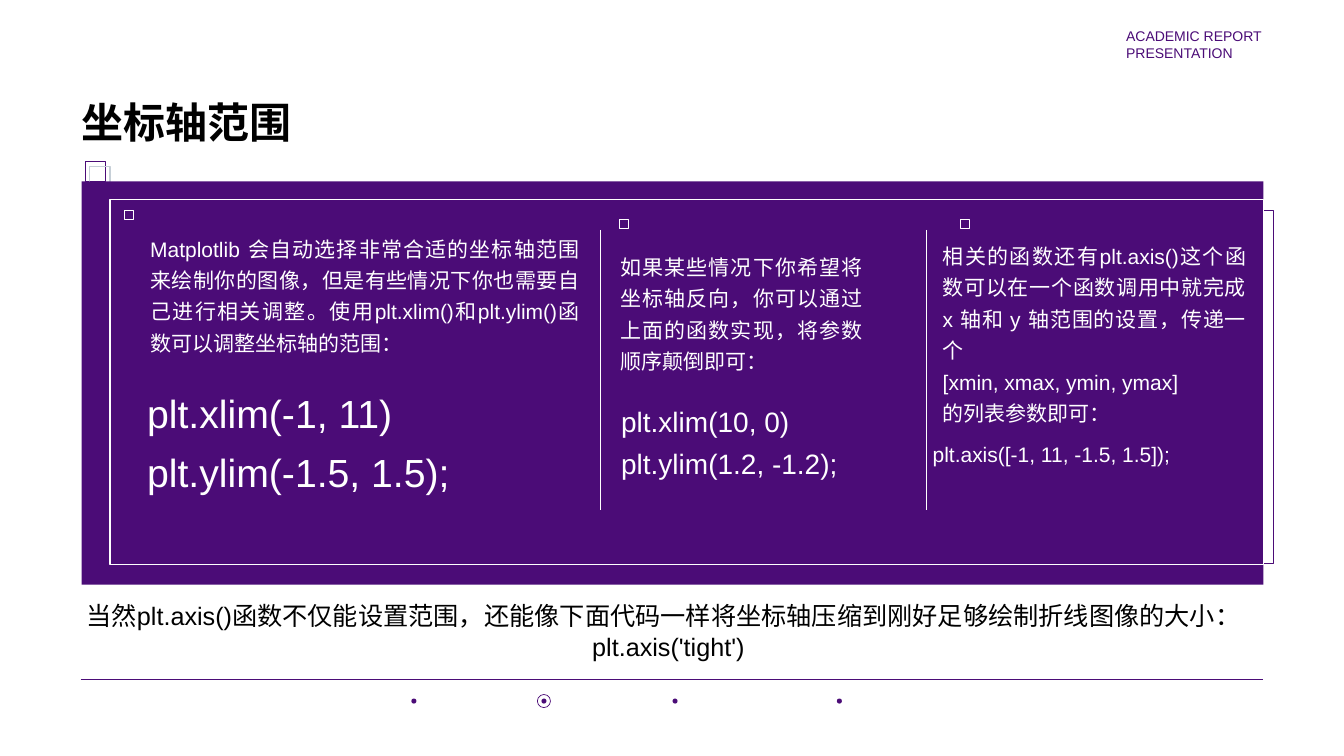
"""Build the slide on axis limits."""
from lxml.etree import SubElement
from pptx import Presentation
from pptx.dml.color import RGBColor
from pptx.enum.shapes import MSO_CONNECTOR, MSO_SHAPE
from pptx.enum.text import MSO_ANCHOR, MSO_AUTO_SIZE, PP_ALIGN
from pptx.oxml.ns import qn
from pptx.util import Inches, Pt

PURPLE, WHITE, BLACK, GREY = "4B0C77", "FFFFFF", "000000", "C6CFD7"
LEFT, JUST, MID = PP_ALIGN.LEFT, PP_ALIGN.JUSTIFY, PP_ALIGN.CENTER

TITLE = "坐标轴范围"
HEADER = ["ACADEMIC REPORT", "PRESENTATION"]
NOTES = [
    ((1.49, 2.28, 4.26, 1.26), 15, [
        "Matplotlib 会自动选择非常合适的坐标轴范围来绘制你的图像，但是有些情况下你也需要自己进行相关调整。"
        "使用plt.xlim()和plt.ylim()函数可以调整坐标轴的范围："]),
    ((6.15, 2.46, 2.41, 1.26), 15, [
        "如果某些情况下你希望将坐标轴反向，你可以通过上面的函数实现，将参数顺序颠倒即可："]),
    ((9.35, 2.35, 3.01, 1.89), 15, [
        "相关的函数还有plt.axis()这个函数可以在一个函数调用中就完成 x 轴和 y 轴范围的设置，传递一个",
        "[xmin, xmax, ymin, ymax]",
        "的列表参数即可："]),
    ((1.46, 3.75, 4.07, 1.42), 28, ["plt.xlim(-1, 11)", "plt.ylim(-1.5, 1.5);"]),
    ((6.16, 3.93, 2.98, 1.15), 20, ["plt.xlim(10, 0)", "plt.ylim(1.2, -1.2);"]),
    ((9.25, 4.32, 3.21, 0.32), 15, ["plt.axis([-1, 11, -1.5, 1.5]);"]),
]
CAPTION = [
    ("当然plt.axis()函数不仅能设置范围，还能像下面代码一样将坐标轴压缩到刚好足够绘制折线图像的大小：", LEFT),
    ("plt.axis('tight')", MID),
]
DOTS = [4.08, 5.37, 6.67, 8.3]
ACTIVE = 1
MARKS = [(1.23, 2.09), (6.14, 2.18), (9.52, 2.18)]
RULES = [5.95, 9.19]

deck = Presentation()
deck.slide_width, deck.slide_height = Inches(13.33), Inches(7.5)
slide = deck.slides.add_slide(deck.slide_layouts[5])
shapes = slide.shapes


def color(code):
    return RGBColor.from_string(code)


def place(box):
    return [Inches(n) for n in box]


def write(frame, lines, size, ink, space=None, bold=None, wrap=True, inset=(0, 0)):
    frame.word_wrap = wrap
    frame.auto_size = MSO_AUTO_SIZE.NONE
    frame.vertical_anchor = MSO_ANCHOR.TOP
    frame.margin_left = frame.margin_right = Inches(inset[0])
    frame.margin_top = frame.margin_bottom = Inches(inset[1])
    for i, (line, align) in enumerate(lines):
        para = frame.add_paragraph() if i else frame.paragraphs[0]
        para.alignment, para.line_spacing = align, space
        run = para.add_run()
        run.text = line
        font = run.font
        font.name, font.size, font.bold = "Arial", Pt(size), bold
        font.color.rgb = color(ink)


def text(box, *args, **more):
    write(shapes.add_textbox(*place(box)).text_frame, *args, **more)


def draw(kind, box, fill=None, line=None, width=1):
    shape = shapes.add_shape(kind, *place(box))
    shape.shadow.inherit = False
    if fill:
        shape.fill.solid()
        shape.fill.fore_color.rgb = color(fill)
    else:
        shape.fill.background()
    if line:
        shape.line.color.rgb = color(line)
        shape.line.width = Pt(width)
    else:
        shape.line.fill.background()


def rule(ends, ink):
    line = shapes.add_connector(MSO_CONNECTOR.STRAIGHT, *place(ends))
    line.line.color.rgb = color(ink)
    line.line.width = Pt(0.5)
    SubElement(line._element.spPr, qn("a:effectLst"))


RECT, OVAL = MSO_SHAPE.RECTANGLE, MSO_SHAPE.OVAL

title = shapes.title
title.left, title.top, title.width, title.height = place((0.81, 0.96, 2.09, 0.5))
write(title.text_frame, [(TITLE, LEFT)], 30, BLACK, bold=True, wrap=False)
text((11.17, 0.27, 1.36, 0.34), [(line, LEFT) for line in HEADER], 10, PURPLE, wrap=False)

rule((0.8, 6.74, 12.53, 6.74), PURPLE)
for x in DOTS:
    draw(OVAL, (x, 6.93, 0.05, 0.05), PURPLE)
draw(OVAL, (DOTS[ACTIVE] - 0.04, 6.89, 0.13, 0.13), line=PURPLE, width=0.5)

draw(RECT, (2.72, 2.09, 9.91, 3.5), line=PURPLE)
draw(RECT, (0.85, 1.6, 0.2, 0.2), line=PURPLE)
draw(RECT, (0.89, 1.65, 0.2, 0.2), line=GREY)
draw(RECT, (0.81, 1.8, 11.72, 4), PURPLE)
draw(RECT, (1.09, 1.98, 11.44, 3.62), line=WHITE)
for x, y in MARKS:
    draw(RECT, (x, y, 0.09, 0.09), line=WHITE, width=0.5)
for x in RULES:
    rule((x, 2.28, x, 5.06), WHITE)

for box, size, lines in NOTES:
    text(box, [(line, JUST) for line in lines], size, WHITE, space=1.25)
text((0.76, 5.91, 11.74, 0.71), CAPTION, 18, BLACK, inset=(0.1, 0.05))

deck.save("out.pptx")
